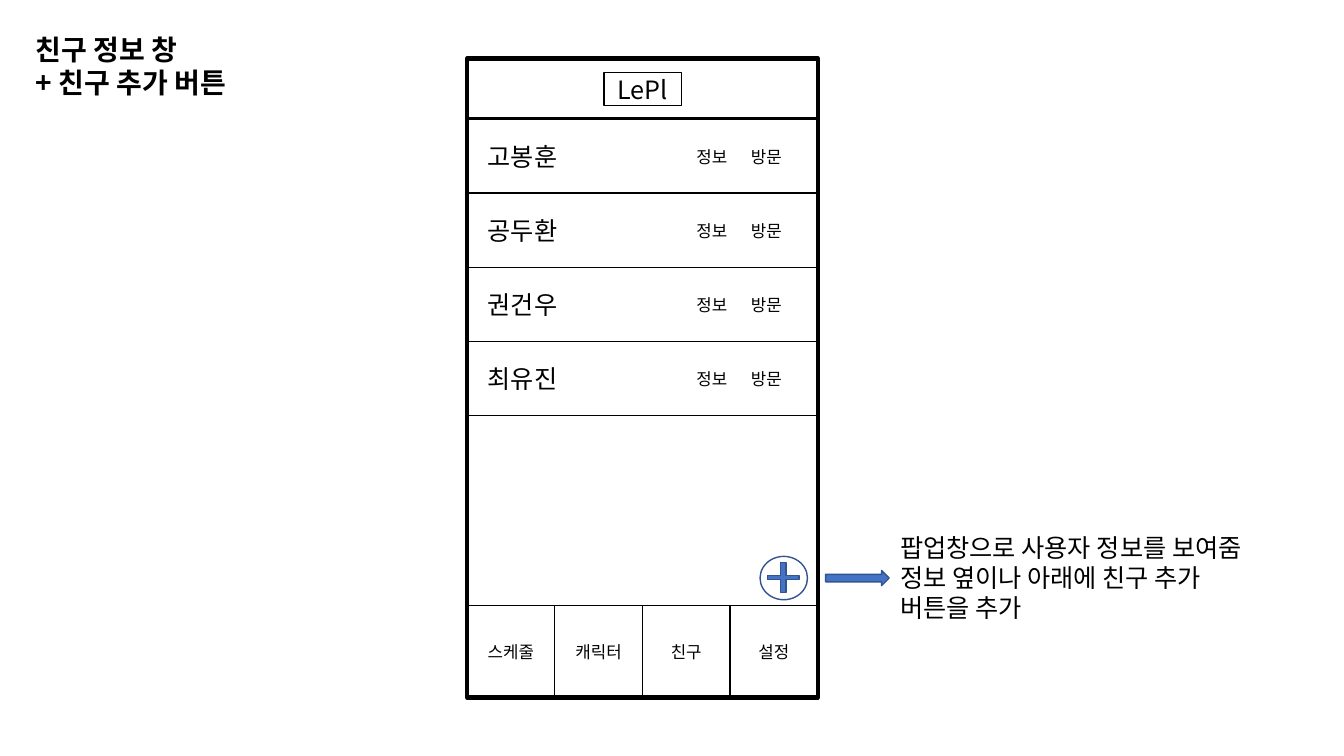
import pptx
import pptx.dml.color
import pptx.enum.shapes
import pptx.enum.text
import pptx.oxml.ns
import pptx.util
import lxml.etree

SHAPES = pptx.enum.shapes.MSO_SHAPE
ALIGN = pptx.enum.text.PP_ALIGN
ANCHOR = pptx.enum.text.MSO_ANCHOR
FONT = "Noto Sans CJK KR"
BLACK, WHITE, BLUE, NAVY = "000000", "FFFFFF", "4472C4", "325491"


def color(hex_text):
    """Turn a hex string into a colour."""
    return pptx.dml.color.RGBColor.from_string(hex_text)


class Sketch:
    """Holds the style and the page; lengths are percent of the slide's size."""

    def __init__(self, deck):
        """Add a page with a title placeholder."""
        self.width, self.height = deck.slide_width, deck.slide_height
        self.page = deck.slides.add_slide(deck.slide_layouts[5])

    def area(self, left, top, width, height):
        """Turn columns and rows of a 100 by 100 grid into lengths."""
        return (int(left * self.width / 100), int(top * self.height / 100),
                int(width * self.width / 100), int(height * self.height / 100))

    def fill_text(self, box, lines, size, align=ALIGN.LEFT, anchor=ANCHOR.MIDDLE,
                  bold=False, spacing=None):
        """Fill a box with one paragraph for each line."""
        frame = box.text_frame
        frame.word_wrap = True
        frame.auto_size = pptx.enum.text.MSO_AUTO_SIZE.NONE
        frame.vertical_anchor = anchor
        for number, line in enumerate(lines):
            para = frame.add_paragraph() if number else frame.paragraphs[0]
            para.alignment = align
            if spacing:
                para.line_spacing = pptx.util.Pt(spacing)
            span = para.add_run()
            span.text = line
            span.font.size = pptx.util.Pt(size)
            span.font.bold = bold
            span.font.color.rgb = color(BLACK)
            span.font.name = FONT
            east_asian = lxml.etree.SubElement(
                span.font._element, pptx.oxml.ns.qn("a:ea"))
            east_asian.set("typeface", FONT)

    def title(self, place, lines, size, spacing):
        """Move and fill the title placeholder."""
        box = self.page.shapes.title
        box.left, box.top, box.width, box.height = self.area(*place)
        self.fill_text(box, lines, size, anchor=ANCHOR.TOP, bold=True, spacing=spacing)

    def text(self, place, line, size, **style):
        """Add a text box."""
        box = self.page.shapes.add_textbox(*self.area(*place))
        self.fill_text(box, [line], size, **style)

    def shape(self, place, kind=SHAPES.RECTANGLE, fill=None, line=BLACK, weight=1):
        """Add an outlined preset shape."""
        shape = self.page.shapes.add_shape(kind, *self.area(*place))
        shape.shadow.inherit = False
        if fill:
            shape.fill.solid()
            shape.fill.fore_color.rgb = color(fill)
        else:
            shape.fill.background()
        shape.line.color.rgb = color(line)
        shape.line.width = pptx.util.Pt(weight)
        return shape

    def button(self, place, label, size):
        """Add a rectangle with a centred label."""
        self.fill_text(self.shape(place), [label], size, align=ALIGN.CENTER)


deck = pptx.Presentation()
deck.slide_width, deck.slide_height = pptx.util.Inches(13.33), pptx.util.Inches(7.5)
sketch = Sketch(deck)
sketch.title((1.88, 3.6, 23.63, 10.27), ["친구 정보 창", "+ 친구 추가 버튼"], 20, 24)

# Phone frame with its tab bar and header
LEFT, TOP, WIDTH, HEIGHT = 34.75, 7.73, 26.1, 84.53
sketch.shape((LEFT, TOP, WIDTH, HEIGHT), weight=3)
tabs = ["스케줄", "캐릭터", "친구", "설정"]
tab_width, tab_height = WIDTH / len(tabs), 12.13
for column, label in enumerate(tabs):
    sketch.button((LEFT + column * tab_width, TOP + HEIGHT - tab_height,
                   tab_width, tab_height), label, 12)
sketch.shape((LEFT, TOP, WIDTH, 7.87))
sketch.button((44.93, 9.6, 5.78, 4.4), "LePl", 18)

# Friend list
LIST_TOP, ROW_HEIGHT = 15.75, 9.8
for row, friend in enumerate(["고봉훈", "공두환", "권건우", "최유진"]):
    top = LIST_TOP + row * ROW_HEIGHT
    sketch.shape((LEFT, top, WIDTH, ROW_HEIGHT))
    sketch.text((35.55, top + 2.25, 7.2, 5.33), friend, 18)
    for column, action in enumerate(["정보", "방문"]):
        sketch.text((51.08 + column * 4.05, top + 3, 4.1, 4), action, 12)

# Add button and its explanation
sketch.shape((56.55, 73.6, 3.53, 5.73), SHAPES.OVAL, WHITE, NAVY)
plus = sketch.shape((57.1, 74.4, 2.35, 4), SHAPES.CROSS, BLUE, NAVY)
plus.adjustments[0] = 0.43
sketch.shape((61.43, 75.47, 4.73, 2), SHAPES.RIGHT_ARROW, BLUE, NAVY)
sketch.text((66.23, 69.73, 27.98, 13.47),
            "팝업창으로 사용자 정보를 보여줌 정보 옆이나 아래에 친구 추가 버튼을 추가",
            18, anchor=ANCHOR.TOP, spacing=21.5)

deck.save("out.pptx")
